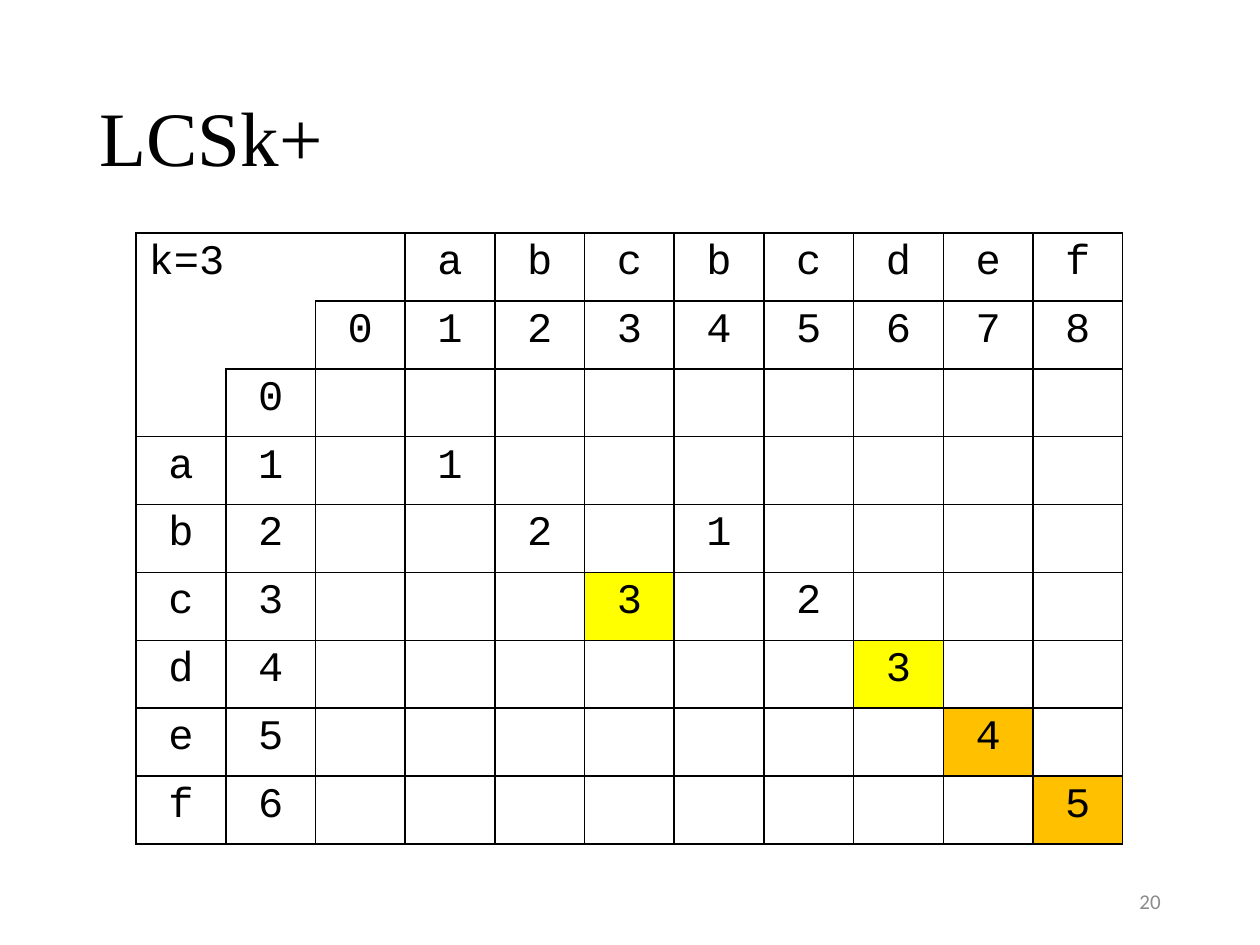
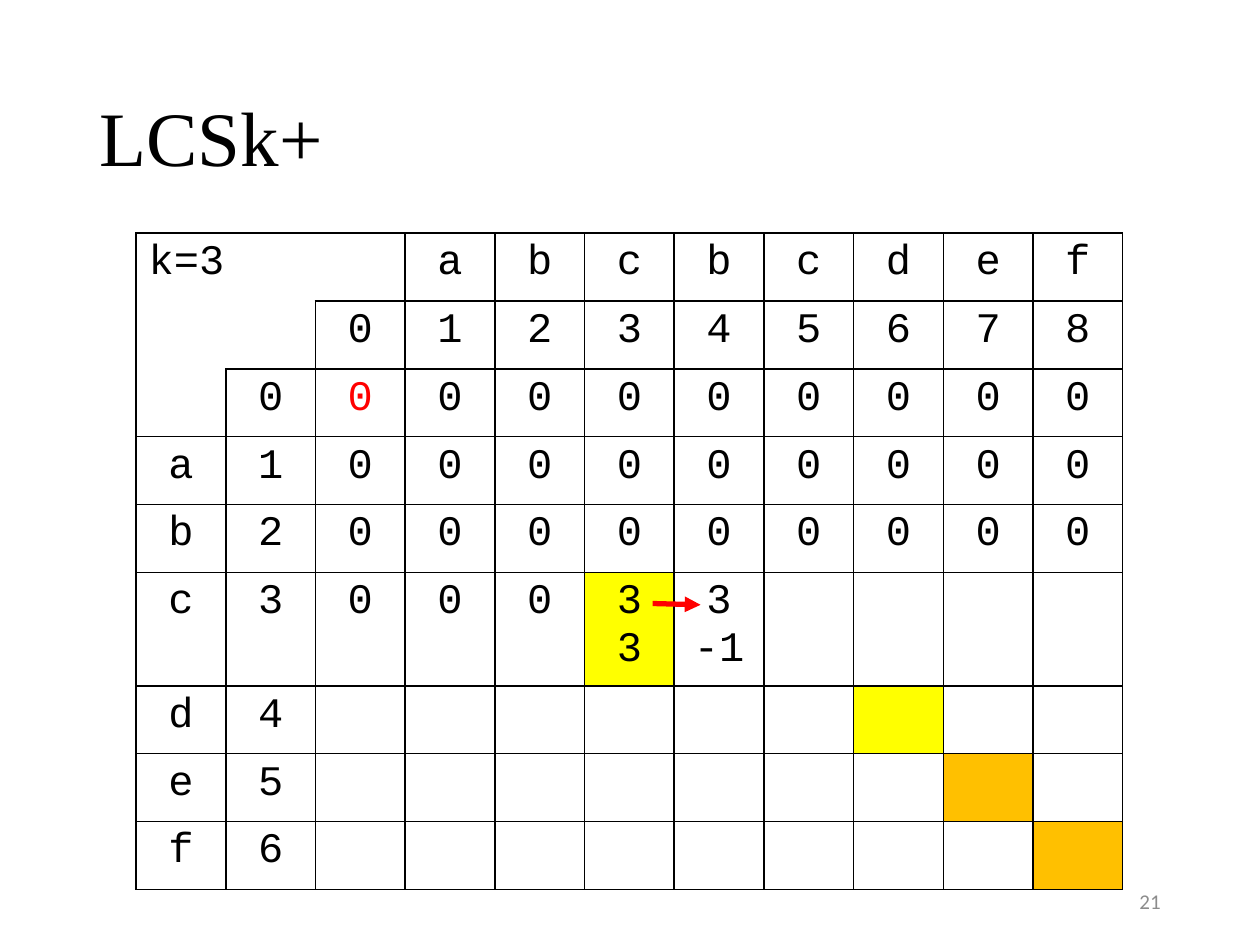
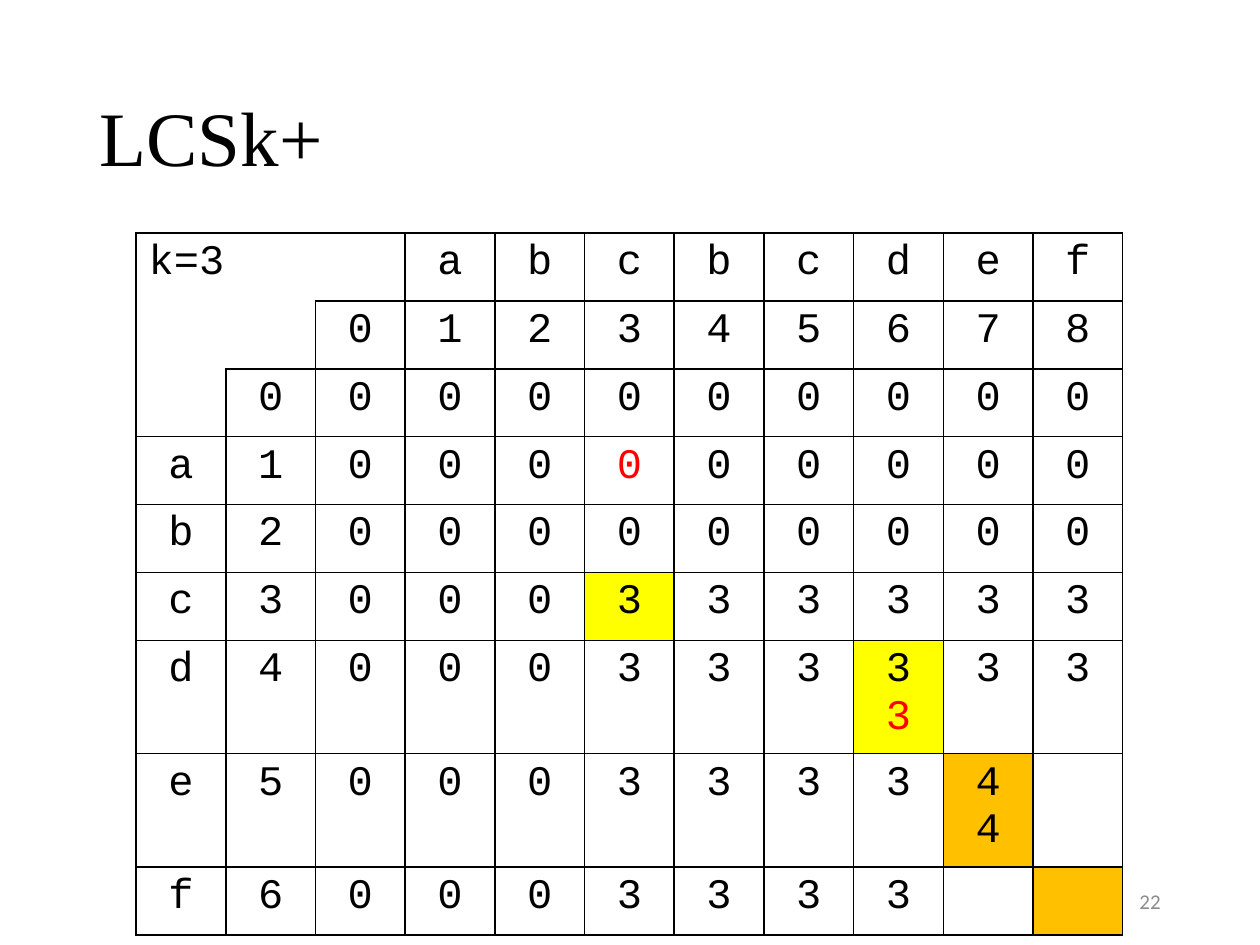
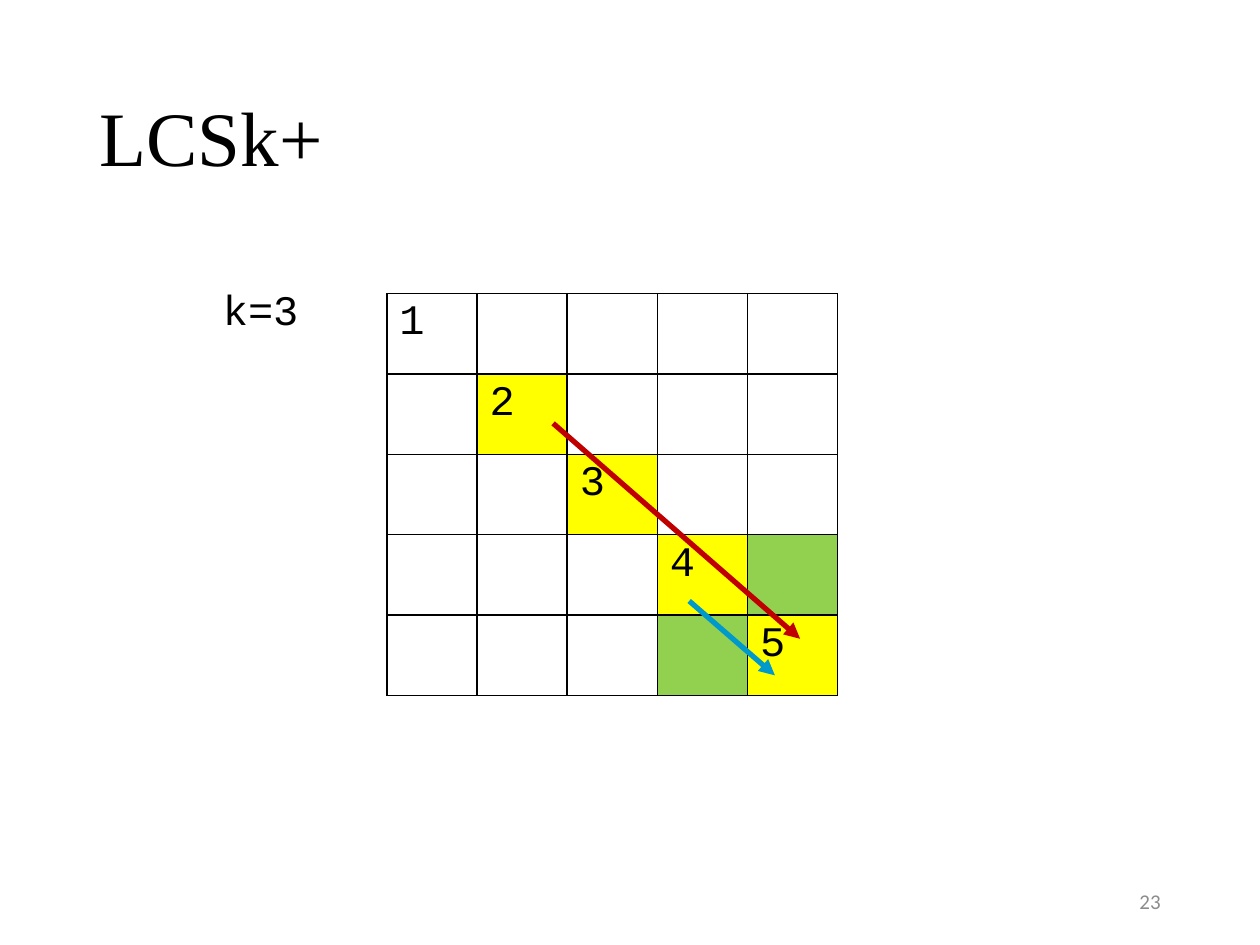
from lxml import etree
from pptx import Presentation
from pptx.dml.color import RGBColor
from pptx.enum import shapes, text
from pptx.oxml.ns import qn
from pptx.util import Inches, Pt

BLACK = RGBColor(0x00, 0x00, 0x00)
GREY = RGBColor(0x8C, 0x8C, 0x8C)
RED = RGBColor(0xFF, 0x00, 0x00)
CRIMSON = RGBColor(0xC0, 0x00, 0x00)
BLUE = RGBColor(0x00, 0x99, 0xCC)
YELLOW = RGBColor(0xFF, 0xFF, 0x00)
ORANGE = RGBColor(0xFF, 0xC0, 0x00)
GREEN = RGBColor(0x92, 0xD0, 0x50)

MONO = "Courier New"
LEFT, CENTER, RIGHT = (text.PP_ALIGN.LEFT, text.PP_ALIGN.CENTER,
                       text.PP_ALIGN.RIGHT)

TITLE = "LCSk+"
FIRST = 20
TOP, SIDE = "abcbcdef", "abcdef"
LABEL = "k=3"

# In a body row "." is an empty cell, "/" starts a new line, "*" makes it red.
ZEROS = "0 0 0 0 0 0 0 0 0"
EMPTY = ". . . . . . . . ."
MATCHES = [
    EMPTY,
    ". 1 . . . . . . .",
    ". . 2 . 1 . . . .",
    ". . . 3 . 2 . . .",
    ". . . . . . 3 . .",
    ". . . . . . . 4 .",
    ". . . . . . . . 5",
]
START = [
    "*0 0 0 0 0 0 0 0 0",
    ZEROS,
    ZEROS,
    "0 0 0 3/3 3/-1 . . . .",
    EMPTY,
    EMPTY,
    EMPTY,
]
LATER = [
    ZEROS,
    "0 0 0 *0 0 0 0 0 0",
    ZEROS,
    "0 0 0 3 3 3 3 3 3",
    "0 0 0 3 3 3 3/*3 3 3",
    "0 0 0 3 3 3 3 4/4 .",
    "0 0 0 3 3 3 3 . .",
]
DIAGONAL = [
    "1 . . . .",
    ". 2 . . .",
    ". . 3 . .",
    ". . . 4 .",
    ". . . . 5",
]

# Fills by (row, column)
ENDS = {(5, 5): YELLOW, (6, 8): YELLOW, (7, 9): ORANGE, (8, 10): ORANGE}
STEPS = {(i, i): YELLOW for i in range(1, 5)} | {(3, 4): GREEN, (4, 3): GREEN}

# Borders of the stepped corner, one entry a row
CORNER = ["LRT", "LR", "LRB"]

# Arrows: from, to, colour
STEP = [((5.18, 4.79), (5.56, 4.8), RED)]
JUMPS = [((4.39, 3.36), (6.35, 5.07), CRIMSON),
         ((5.47, 4.77), (6.15, 5.36), BLUE)]


def style(para, size, face, color, align=LEFT):
    para.alignment = align
    font = para.font
    font.size, font.name, font.color.rgb = Pt(size), face, color


def set_lines(cell, sides):
    """Draw the named sides of a cell in black and clear the others."""
    props = cell._tc.get_or_add_tcPr()
    for side in "LRTB":
        line = etree.SubElement(props, qn("a:ln" + side), w=str(Pt(1)))
        if side in sides:
            fill = etree.SubElement(line, qn("a:solidFill"))
            etree.SubElement(fill, qn("a:srgbClr"), val=str(BLACK))
        else:
            etree.SubElement(line, qn("a:noFill"))


def write(cell, word, align):
    frame = cell.text_frame
    for i, part in enumerate(word.split("/")):
        para = frame.add_paragraph() if i else frame.paragraphs[0]
        para.text = part.lstrip("*")
        style(para, 24, MONO, RED if part.startswith("*") else BLACK, align)


def add_grid(slide, rows, box, fills, align, corner=()):
    frame = slide.shapes.add_table(len(rows), len(rows[0]), *map(Inches, box))
    table = frame.table
    table.first_row = table.horz_banding = False
    for r, row in enumerate(rows):
        for c, word in enumerate(row):
            cell = table.cell(r, c)
            inside = c < len(corner) - r
            set_lines(cell, corner[r] if inside else "LRTB")
            if (r, c) in fills:
                cell.fill.solid()
                cell.fill.fore_color.rgb = fills[r, c]
            else:
                cell.fill.background()
            if word != ".":
                write(cell, word, LEFT if inside else align)
    for r in range(len(corner) - 1):
        table.cell(r, 0).merge(table.cell(r, len(corner) - 1 - r))


def add_matrix(slide, body):
    """Add the table of both strings, with letters and indexes around body."""
    rows = [[LABEL, ".", ".", *TOP],
            [".", ".", *map(str, range(len(TOP) + 1))]]
    for i, (mark, line) in enumerate(zip("." + SIDE, body)):
        rows.append([mark, str(i), *line.split()])
    add_grid(slide, rows, (1.08, 1.85, 7.83, 4.85), ENDS, CENTER, CORNER)


def add_arrows(slide, arrows):
    for start, end, color in arrows:
        arrow = slide.shapes.add_connector(
            shapes.MSO_CONNECTOR.STRAIGHT, *map(Inches, start + end))
        arrow.line.color.rgb = color
        arrow.line.width = Pt(3)
        etree.SubElement(arrow.line._get_or_add_ln(), qn("a:tailEnd"),
                         type="triangle")
        etree.SubElement(arrow._element.spPr, qn("a:effectLst"))


def add_text(slide, words, box):
    frame = slide.shapes.add_textbox(*map(Inches, box)).text_frame
    frame.text = words
    return frame


def add_slide(prs, layout, number):
    slide = prs.slides.add_slide(layout)
    slide.shapes.title.text = TITLE
    para = slide.shapes.title.text_frame.paragraphs[0]
    style(para, 44, "Times New Roman", BLACK)
    para.line_spacing = 0.9
    foot = add_text(slide, str(number), (7.06, 6.95, 2.25, 0.4))
    foot.word_wrap = True
    foot.vertical_anchor = text.MSO_ANCHOR.MIDDLE
    style(foot.paragraphs[0], 12, "Calibri", GREY, RIGHT)
    return slide


def main():
    prs = Presentation()
    prs.slide_width, prs.slide_height = Inches(10), Inches(7.5)
    layout = prs.slide_layouts[5]
    head = layout.placeholders[0]
    head.left, head.top, head.width, head.height = map(
        Inches, (0.69, 0.4, 8.62, 1.45))

    matches, start, later, jumps = [
        add_slide(prs, layout, FIRST + i) for i in range(4)]
    add_matrix(matches, MATCHES)
    add_matrix(start, START)
    add_arrows(start, STEP)
    add_matrix(later, LATER)

    add_grid(jumps, [line.split() for line in DIAGONAL],
             (3.07, 2.33, 3.58, 3.19), STEPS, LEFT)
    label = add_text(jumps, LABEL, (1.67, 2.2, 0.81, 0.5))
    label.word_wrap = False
    label.auto_size = text.MSO_AUTO_SIZE.SHAPE_TO_FIT_TEXT
    style(label.paragraphs[0], 24, MONO, BLACK)
    add_arrows(jumps, JUMPS)

    prs.save("out.pptx")


if __name__ == "__main__":
    main()
